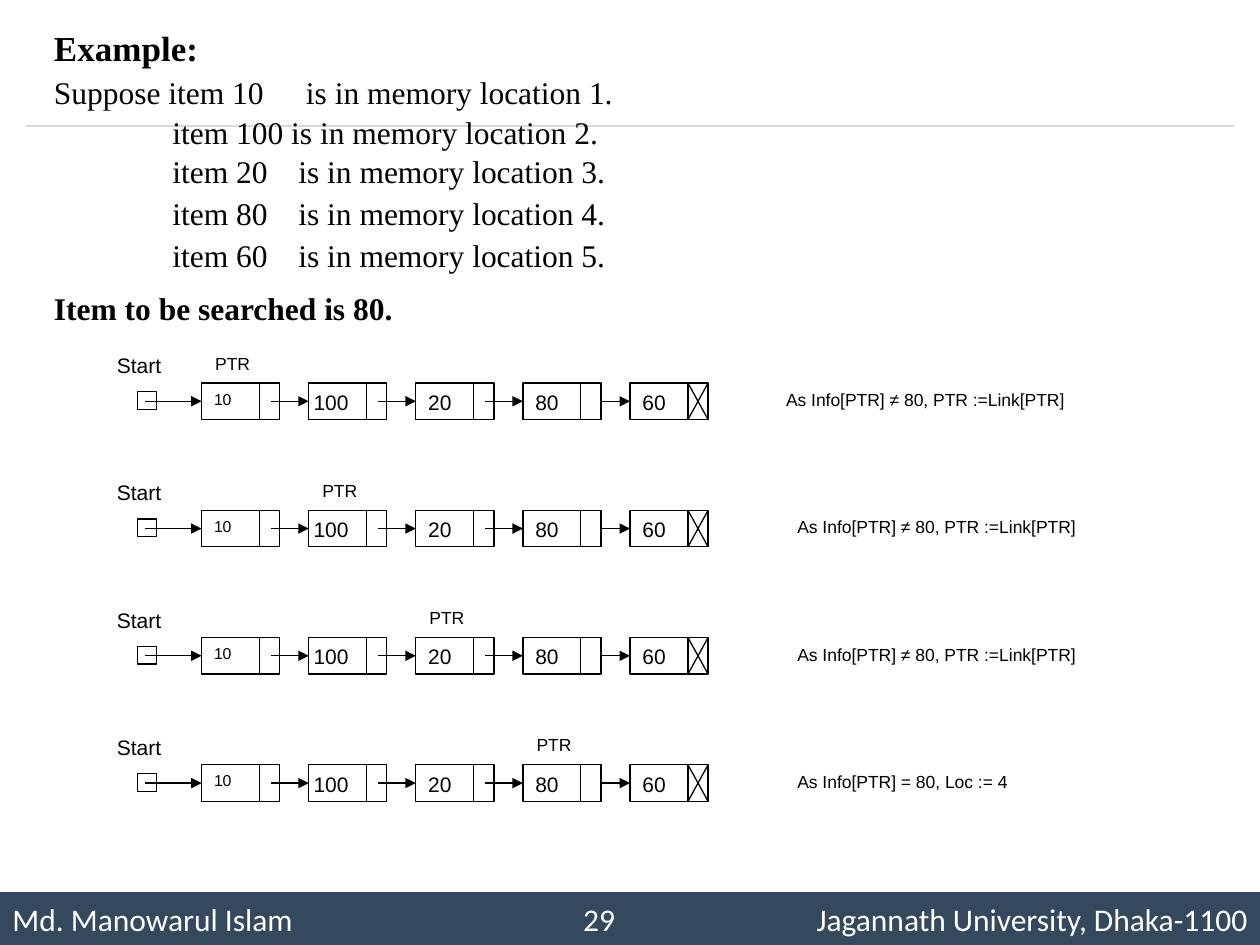
from dataclasses import dataclass

from lxml import etree
from pptx import Presentation
from pptx.dml.color import RGBColor
from pptx.enum.shapes import MSO_CONNECTOR, MSO_SHAPE
from pptx.enum.text import MSO_ANCHOR, PP_ALIGN
from pptx.oxml.ns import qn
from pptx.util import Inches, Pt

RECT = MSO_SHAPE.RECTANGLE
LINE = MSO_CONNECTOR.STRAIGHT
MIDDLE = MSO_ANCHOR.MIDDLE
LEFT, CENTER, RIGHT = PP_ALIGN.LEFT, PP_ALIGN.CENTER, PP_ALIGN.RIGHT


@dataclass
class Theme:
    ink: RGBColor = RGBColor(0x00, 0x00, 0x00)
    paper: RGBColor = RGBColor(0xFF, 0xFF, 0xFF)
    navy: RGBColor = RGBColor(0x34, 0x49, 0x5E)
    gray: RGBColor = RGBColor(0xD9, 0xD9, 0xD9)
    serif: str = "Times New Roman"
    sans: str = "Arial"
    foot: str = "Calibri"
    title: Pt = Pt(20)
    body: Pt = Pt(18)
    label: Pt = Pt(12)
    note: Pt = Pt(10)
    small: Pt = Pt(9)
    thin: Pt = Pt(0.75)


theme = Theme()


def block(shapes, area, text="", size=theme.label, fill=None):
    area = [Inches(v) for v in area]
    if fill is None:
        box = shapes.add_textbox(*area)
    else:
        box = shapes.add_shape(RECT, *area)
        box.shadow.inherit = False
        box.fill.solid()
        box.fill.fore_color.rgb = fill
        box.line.color.rgb = theme.ink
        box.line.width = theme.thin
    box.text_frame.word_wrap = True
    if text:
        box.text_frame.text = text
        font = box.text_frame.paragraphs[0].font
        font.name, font.size, font.color.rgb = theme.sans, size, theme.ink
    return box


def wire(shapes, start, end, color=theme.ink, arrow=False):
    line = shapes.add_connector(LINE, *[Inches(v) for v in (*start, *end)])
    line.line.color.rgb = color
    line.line.width = theme.thin
    if arrow:
        etree.SubElement(line.line._get_or_add_ln(), qn("a:tailEnd"), type="triangle")
    etree.SubElement(line._element.spPr, qn("a:effectLst"))
    return line


deck = Presentation()
deck.slide_width, deck.slide_height = Inches(10), Inches(7.5)
slide = deck.slides.add_slide(deck.slide_layouts[6])
shapes = slide.shapes

footer = [
    (0, 4.42, "Md. Manowarul Islam", LEFT),
    (5.08, 4.92, "Jagannath University, Dhaka-1100", RIGHT),
    (4.42, 0.67, "29", CENTER),
]
for x, wide, text, align in footer:
    bar = block(shapes, (x, 7.08, wide, 0.42), text, theme.body, theme.navy)
    bar.line.fill.background()
    bar.text_frame.vertical_anchor = MIDDLE
    para = bar.text_frame.paragraphs[0]
    para.alignment = align
    para.font.name, para.font.color.rgb = theme.foot, theme.paper
wire(shapes, (0.21, 1), (9.79, 1), theme.gray)

items = ["10", "100", "20", "80", "60"]
step, wide, high, link = 0.85, 0.62, 0.29, 0.46
lefts = [1.6 + step * i for i in range(len(items))]
again = "As Info[PTR] ≠ 80, PTR :=Link[PTR]"
notes = [(6.14, again), (6.23, again), (6.23, again), (6.23, "As Info[PTR] = 80, Loc := 4")]

for row, (side, note) in enumerate(notes):
    top = 3.04 + 1.01 * row
    mid, end = top + high / 2, top + high
    group = shapes.add_group_shape().shapes
    block(group, (1.09, top + 0.07, 0.15, 0.14), fill=theme.paper)
    nodes = []
    for x in lefts:
        nodes.append(block(group, (x, top, wide, high), fill=theme.paper))
        wire(group, (x + link, top), (x + link, end))
    tails = [1.15] + [x + 0.55 for x in lefts[:-1]]
    for i, (tail, x) in enumerate(zip(tails, lefts)):
        arrow = wire(group, (tail, mid), (x, mid), arrow=True)
        if i == len(items) - 1:
            arrow.begin_connect(nodes[i - 1], 3)
        arrow.end_connect(nodes[i], 1)
    for x, item in zip(lefts, items):
        shift = 0.06 if item == "100" else 0
        size = theme.small if item == "10" else theme.label
        block(group, (x - shift, top, wide, high), item, size)
    last = lefts[-1]
    wire(group, (last + link, top), (last + wide, end))
    wire(group, (last + wide, top), (last + link, end))
    block(group, (0.83, top - high, 0.77, high), "Start")
    block(group, (lefts[row] + 0.01, top - high, wide, high), "PTR", theme.note)
    block(group, (side, top, 2.93, 0.43), note, theme.note)

story = [
    ("Example:", 1, 0, 0),
    ("Suppose item 10\tis in memory location 1.", 0.6, 10, 0),
    ("item 100 is in memory location 2.", 0.6, 10, 0.94),
    ("item 20\tis in memory location 3.", 1.1, 0, 0.94),
    ("item 80\tis in memory location 4.", 1.1, 0, 0.94),
    ("item 60\tis in memory location 5.", 1.1, 0, 0.94),
    ("Item to be searched is 80.", 1.4, 0, 0),
]
frame = block(shapes, (0.33, 0.16, 9.33, 3.08)).text_frame
frame.text = "\n".join(text for text, *rest in story)
for para, (text, space, gap, inset) in zip(frame.paragraphs, story):
    props = para._p.get_or_add_pPr()
    props.set("marL", str(Inches(inset)))
    props.set("indent", "0")
    if "\t" in text:
        stops = etree.SubElement(props, qn("a:tabLst"))
        place = Inches(1.88 if inset else 1.85)
        etree.SubElement(stops, qn("a:tab"), pos=str(place), algn="l")
    para.line_spacing = space
    para.space_before = Pt(gap)
    para.font.name, para.font.color.rgb = theme.serif, theme.ink
    para.font.size = theme.title if text == "Example:" else theme.body
    para.font.bold = text in ("Example:", "Item to be searched is 80.")

deck.save("out.pptx")
